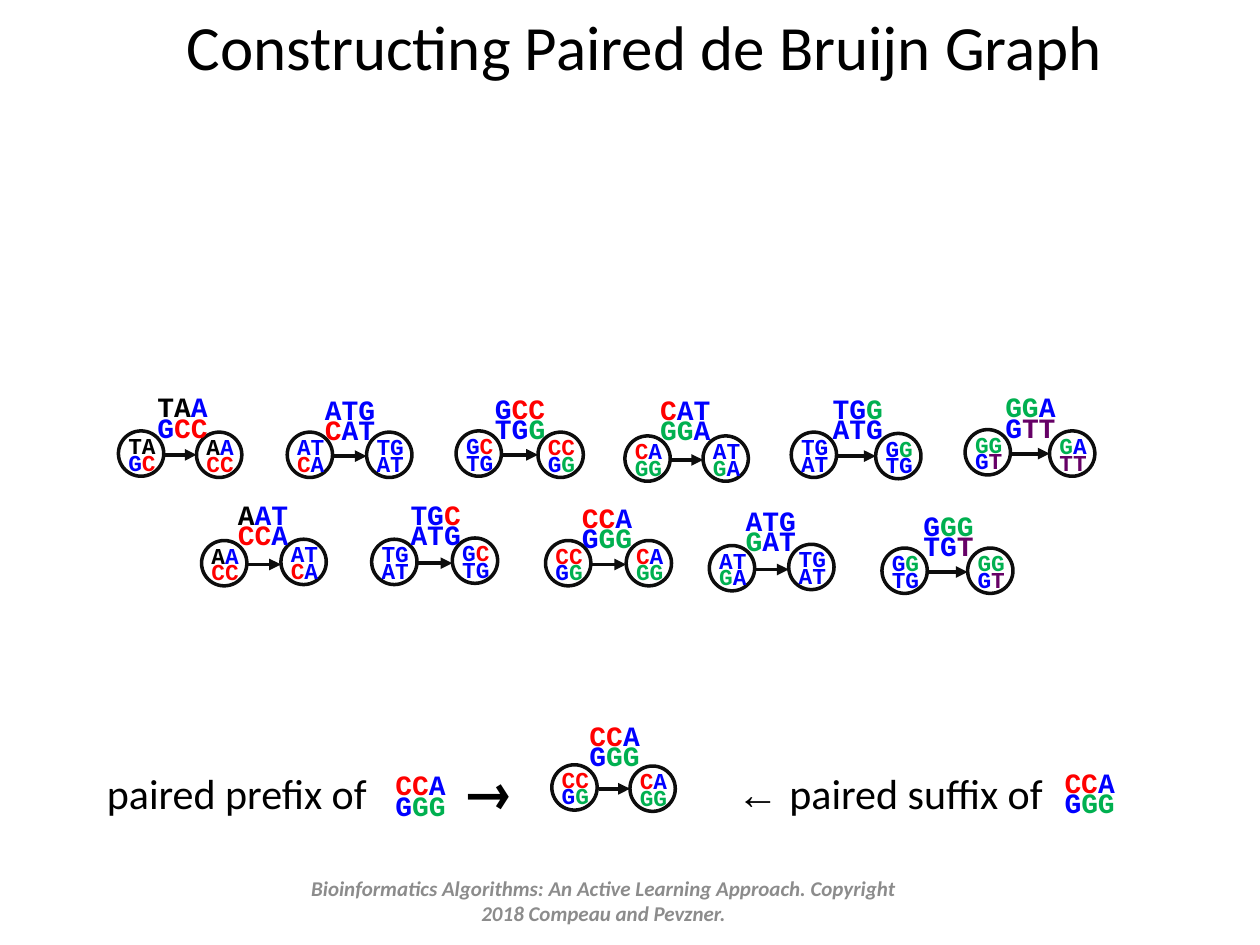
from dataclasses import dataclass

from lxml import etree
from pptx import Presentation
from pptx import util as u
from pptx.dml.color import RGBColor
from pptx.enum import shapes, text
from pptx.oxml.ns import qn

CELL = u.Inches(0.01)  # the slide is a grid of 1000 columns by 750 rows
COLUMNS, ROWS = 1000, 750
NODE = 36  # circle diameter in cells

# Each letter of the genome has one colour; the two reads of a pair start 4 apart.
GENOME = "TAATGCCATGGGATGTT"
PALETTE = "KKBBBRRBBBGGBBBPP"
READ_LENGTH, PAIR_DISTANCE = 3, 4

# Left node, right node and label, as (column, row), by start of the read
EDGES = [
    ((94, 342), (156, 343), (115, 314)),
    ((160, 429), (223, 428), (179, 399)),
    ((228, 343), (291, 343), (248, 316)),
    ((295, 428), (359, 427), (316, 399)),
    ((362, 342), (427, 343), (383, 315)),
    ((433, 429), (497, 429), (452, 402)),
    ((496, 346), (558, 346), (514, 316)),
    ((563, 433), (626, 432), (582, 404)),
    ((628, 343), (695, 344), (651, 315)),
    ((700, 435), (768, 435), (723, 408)),
    ((766, 341), (833, 342), (788, 314)),
]
EXAMPLE = 5  # CCA | GGG
EXAMPLE_EDGE = ((438, 607), (500, 608), (458, 575))
EXAMPLE_LABELS = [(304, 614), (835, 612)]


@dataclass(frozen=True)
class Theme:
    body_font: str = "Calibri"
    code_font: str = "Courier New"
    arrow_font: str = "TeX Gyre Bonum"
    back_arrow_font: str = "Times New Roman"
    title_size: int = 36
    caption_size: int = 24
    arrow_size: int = 28
    label_size: int = 16
    node_size: int = 13
    footer_size: int = 12
    ink: str = "000000"
    outline: str = "0D0D0D"
    footer: str = "8C8C8C"
    node_line: float = 2
    edge_line: float = 2.25


THEME = Theme()
LETTER_COLORS = {"K": THEME.ink, "B": "0000FF", "R": "FF0000",
                 "G": "00B050", "P": "660066"}


def color(value):
    return RGBColor.from_string(value)


def set_font(font, name, size, value=None, bold=None):
    font.name, font.size, font.bold = name, u.Pt(size), bold
    if value:
        font.color.rgb = color(value)


def add_text_box(slide, left, top, width, height, wrap=True, grow=True):
    box = slide.shapes.add_textbox(*(CELL * n for n in (left, top, width, height)))
    frame = box.text_frame
    frame.word_wrap = wrap
    if grow:
        frame.auto_size = text.MSO_AUTO_SIZE.SHAPE_TO_FIT_TEXT
    return frame


def add_pair(slide, left, top, start, length, size):
    """Stack two reads of the genome, coloured letter by letter."""
    width, height = (61, 42) if length == READ_LENGTH else (42, 36)
    frame = add_text_box(slide, left, top, width, height, wrap=False)
    for paragraph, first in ((frame.paragraphs[0], start),
                             (frame.add_paragraph(), start + PAIR_DISTANCE)):
        paragraph.line_spacing = 0.6
        set_font(paragraph.font, THEME.code_font, size, bold=True)
        for position in range(first, first + length):
            run = paragraph.add_run()
            run.text = GENOME[position]
            run.font.color.rgb = color(LETTER_COLORS[PALETTE[position]])


def add_label(slide, place, start):
    add_pair(slide, *place, start, READ_LENGTH, THEME.label_size)


def add_node(slide, place, start):
    left, top = place
    circle = slide.shapes.add_shape(shapes.MSO_SHAPE.OVAL, CELL * left, CELL * top,
                                    CELL * NODE, CELL * NODE)
    circle.shadow.inherit = False
    circle.fill.background()
    circle.line.color.rgb = color(THEME.outline)
    circle.line.width = u.Pt(THEME.node_line)
    add_pair(slide, left - 2, top + 3.5, start, READ_LENGTH - 1, THEME.node_size)


def add_arrow(slide, begin, end, row):
    arrow = slide.shapes.add_connector(
        shapes.MSO_CONNECTOR.STRAIGHT,
        *(int(CELL * n) for n in (begin, row, end, row)))
    arrow.line.color.rgb = color(THEME.outline)
    arrow.line.width = u.Pt(THEME.edge_line)
    etree.SubElement(arrow.line._get_or_add_ln(), qn("a:tailEnd"), type="triangle")
    etree.SubElement(arrow._element.spPr, qn("a:effectLst"))


def add_edge(slide, start, left_node, right_node, label):
    add_arrow(slide, left_node[0] + NODE + 1, right_node[0], left_node[1] + 19)
    add_node(slide, left_node, start)
    add_node(slide, right_node, start + 1)
    add_label(slide, label, start)


def add_centered_text(slide, place, words, size, value, grow=True):
    frame = add_text_box(slide, *place, grow=grow)
    paragraph = frame.paragraphs[0]
    paragraph.text = words
    paragraph.alignment = text.PP_ALIGN.CENTER
    set_font(paragraph.font, THEME.body_font, size, value)
    return frame


def add_caption(slide):
    """One line whose parts start at tab stops around the example edge."""
    paragraph = add_text_box(slide, -8, 608, 1025, 48).paragraphs[0]
    paragraph.line_spacing = 0.8
    tabs = etree.SubElement(paragraph._p.get_or_add_pPr(), qn("a:tabLst"))
    for column in (83, 367, 583):
        etree.SubElement(tabs, qn("a:tab"), pos=str(CELL * column), algn="l")
    for words, name, size, bold in (
            ("\tpaired prefix of\t", THEME.body_font, THEME.caption_size, False),
            ("→", THEME.arrow_font, THEME.arrow_size, True),
            ("\t", THEME.body_font, THEME.caption_size, False),
            ("← ", THEME.back_arrow_font, THEME.caption_size, False),
            ("paired suffix of", THEME.body_font, THEME.caption_size, False)):
        run = paragraph.add_run()
        run.text = words
        set_font(run.font, name, size, THEME.ink, bold)


def add_footer(slide):
    frame = add_centered_text(
        slide, (225, 695, 508, 40),
        "Bioinformatics Algorithms: An Active Learning Approach. "
        "Copyright 2018 Compeau and Pevzner.",
        THEME.footer_size, THEME.footer, grow=False)
    frame.vertical_anchor = text.MSO_ANCHOR.MIDDLE
    font = frame.paragraphs[0].font
    font.bold = font.italic = True


def main():
    presentation = Presentation()
    presentation.slide_width = CELL * COLUMNS
    presentation.slide_height = CELL * ROWS
    slide = presentation.slides.add_slide(presentation.slide_layouts[6])

    add_centered_text(slide, (7, 1, 1009, 71), "Constructing Paired de Bruijn Graph",
                      THEME.title_size, THEME.ink)
    for start, edge in enumerate(EDGES):
        add_edge(slide, start, *edge)
    add_caption(slide)
    add_edge(slide, EXAMPLE, *EXAMPLE_EDGE)
    for place in EXAMPLE_LABELS:
        add_label(slide, place, EXAMPLE)
    add_footer(slide)
    presentation.save("out.pptx")


if __name__ == "__main__":
    main()
